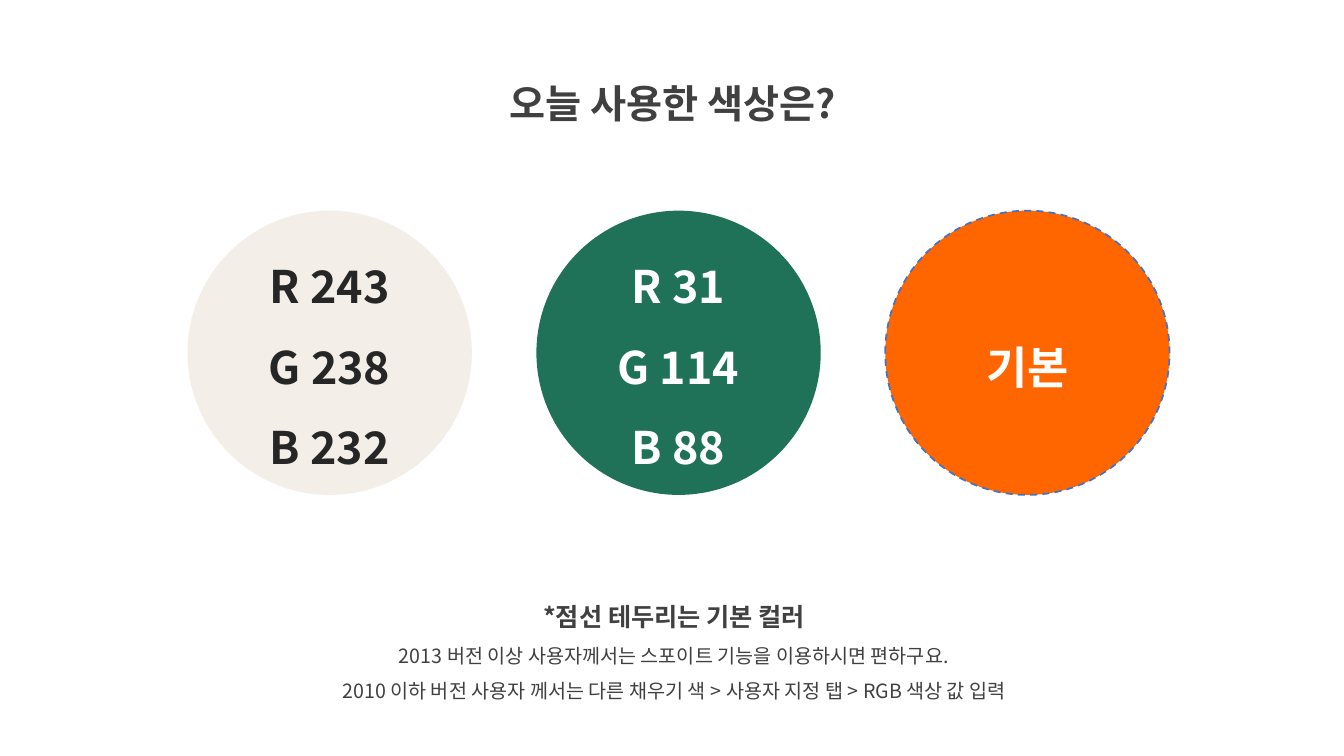
from dataclasses import dataclass

from lxml import etree
from pptx import Presentation
from pptx.dml.color import RGBColor
from pptx.enum.dml import MSO_LINE
from pptx.enum.shapes import MSO_SHAPE
from pptx.enum.text import MSO_ANCHOR, MSO_AUTO_SIZE, PP_ALIGN
from pptx.oxml.ns import qn
from pptx.util import Pt

EMU_PER_PX = 9144
TITLE_ONLY = 5
OVAL = MSO_SHAPE.OVAL
DASH = MSO_LINE.DASH
CENTER = PP_ALIGN.CENTER
TOP, MIDDLE = MSO_ANCHOR.TOP, MSO_ANCHOR.MIDDLE
GROW = MSO_AUTO_SIZE.SHAPE_TO_FIT_TEXT


@dataclass(frozen=True)
class Theme:
    font: str = "Noto Sans CJK KR"
    ink: str = "404040"
    dark: str = "262626"
    white: str = "FFFFFF"
    cream: str = "F3EEE8"
    green: str = "1F7258"
    orange: str = "FF6600"
    outline: str = "4472C4"
    title_size: int = 28
    swatch_size: int = 32
    note_size: int = 18
    detail_size: int = 14
    outline_width: float = 1.25
    line_spacing: float = 1.5


def px(*lengths):
    return [length * EMU_PER_PX for length in lengths]


def write_line(paragraph, text, *, font, size, color, bold=False, spacing=1.0):
    paragraph.alignment = CENTER
    paragraph.line_spacing = spacing
    run = paragraph.add_run()
    run.text = text
    run.font.size = Pt(size)
    run.font.bold = bold
    run.font.color.rgb = RGBColor.from_string(color)
    run.font.name = font
    east_asian = etree.SubElement(run.font._element, qn("a:ea"))
    east_asian.set("typeface", font)


class SlideBuilder:
    """Draws styled elements on the current slide."""

    def __init__(self, slide, theme):
        self.slide = slide
        self.theme = theme

    def fill_frame(self, frame, lines, *, anchor, grow=False):
        frame.word_wrap = True
        frame.vertical_anchor = anchor
        if grow:
            frame.auto_size = GROW
        for index, (text, size, color, bold) in enumerate(lines):
            paragraph = frame.add_paragraph() if index else frame.paragraphs[0]
            write_line(paragraph, text, font=self.theme.font, size=size, color=color,
                       bold=bold, spacing=self.theme.line_spacing)

    def title(self, text, box):
        heading = self.slide.shapes.title
        heading.left, heading.top, heading.width, heading.height = px(*box)
        line = (text, self.theme.title_size, self.theme.ink, True)
        self.fill_frame(heading.text_frame, [line], anchor=TOP, grow=True)

    def note(self, lines, box):
        note = self.slide.shapes.add_textbox(*px(*box))
        self.fill_frame(note.text_frame, lines, anchor=TOP, grow=True)

    def swatch(self, labels, box, *, fill, color, dashed=False):
        circle = self.slide.shapes.add_shape(OVAL, *px(*box))
        circle.shadow.inherit = False
        circle.fill.solid()
        circle.fill.fore_color.rgb = RGBColor.from_string(fill)
        if dashed:
            circle.line.color.rgb = RGBColor.from_string(self.theme.outline)
            circle.line.width = Pt(self.theme.outline_width)
            circle.line.dash_style = DASH
        else:
            circle.line.fill.background()
        lines = [(label, self.theme.swatch_size, color, True) for label in labels]
        self.fill_frame(circle.text_frame, lines, anchor=MIDDLE)


def main():
    theme = Theme()
    deck = Presentation()
    deck.slide_width, deck.slide_height = px(1333, 750)
    slide = deck.slides.add_slide(deck.slide_layouts[TITLE_ONLY])
    builder = SlideBuilder(slide, theme)

    builder.title("오늘 사용한 색상은?", (436, 50, 463, 72))
    builder.note([
        ("*점선 테두리는 기본 컬러", theme.note_size, theme.ink, True),
        ("2013 버전 이상 사용자께서는 스포이트 기능을 이용하시면 편하구요.",
         theme.detail_size, theme.ink, False),
        ("2010 이하 버전 사용자 께서는 다른 채우기 색 > 사용자 지정 탭 > RGB 색상 값 입력",
         theme.detail_size, theme.ink, False),
    ], (269, 577, 799, 126))

    swatches = [
        (["R 243", "G 238", "B 232"], theme.cream, theme.dark, False),
        (["R 31", "G 114", "B 88"], theme.green, theme.white, False),
        (["기본"], theme.orange, theme.white, True),
    ]
    first_left, top, diameter, pitch = 186, 209, 282, 346
    for column, (labels, fill, color, dashed) in enumerate(swatches):
        box = (first_left + column * pitch, top, diameter, diameter)
        builder.swatch(labels, box, fill=fill, color=color, dashed=dashed)

    deck.save("out.pptx")


if __name__ == "__main__":
    main()
